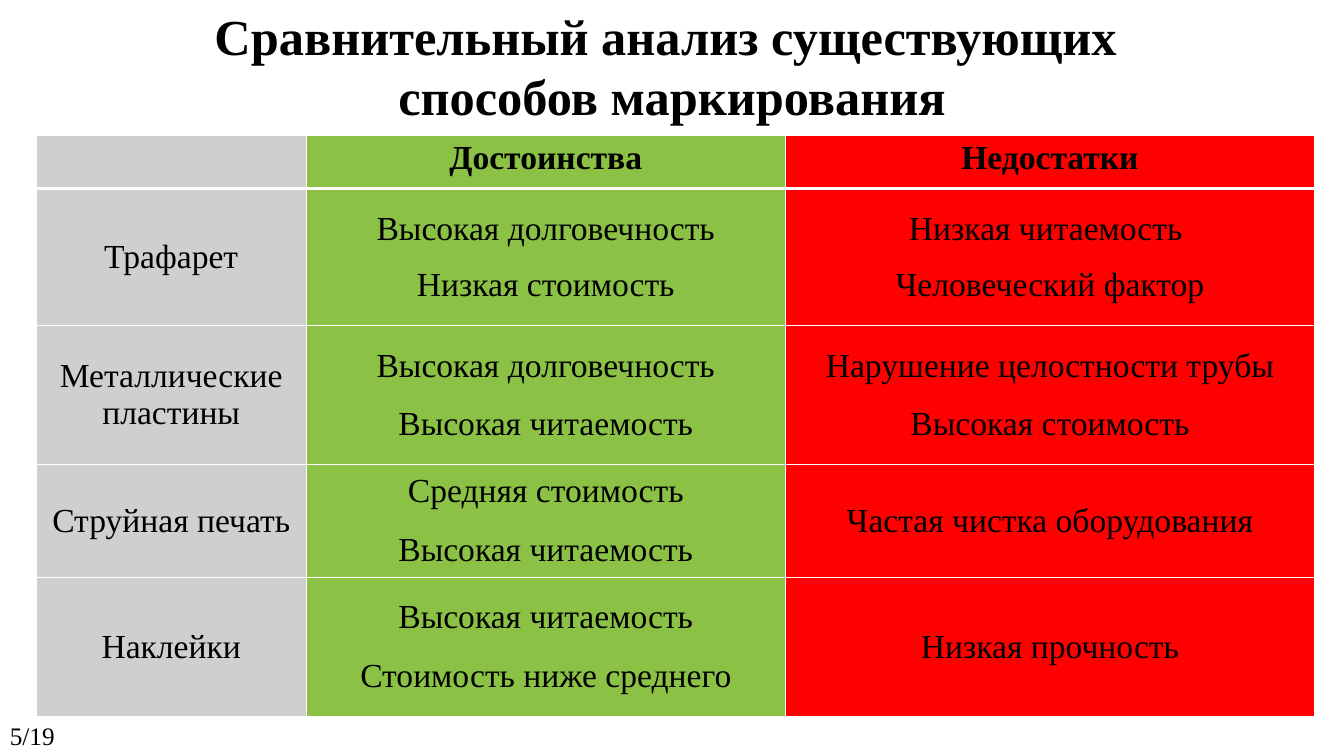
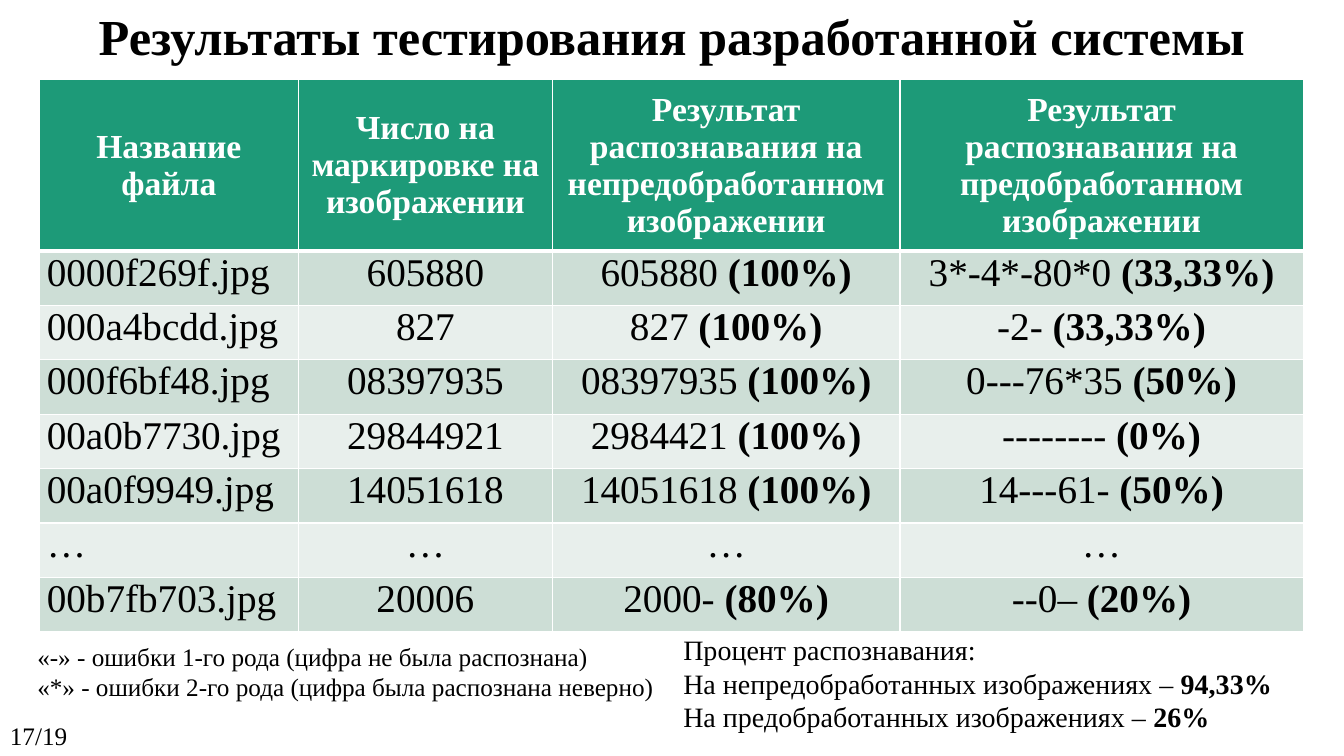
from dataclasses import dataclass, field
from typing import NamedTuple

from lxml.etree import SubElement
from pptx import Presentation
from pptx.dml.color import RGBColor
from pptx.enum.text import MSO_ANCHOR, MSO_AUTO_SIZE, PP_ALIGN
from pptx.oxml.ns import qn
from pptx.util import Cm, Pt

HUES = {
    "black": "000000",
    "white": "FFFFFF",
    "grey": "D0CECE",
    "lime": "8BC145",
    "red": "FF0000",
    "green": "1D9A78",
    "mint": "CDDED6",
    "pale": "E8EFEC",
}
FONT = "Times New Roman"
WIDE, HIGH = 33.87, 19.05
LEFT, MID, EVEN = PP_ALIGN.LEFT, PP_ALIGN.CENTER, PP_ALIGN.JUSTIFY
TOP, CORE = MSO_ANCHOR.TOP, MSO_ANCHOR.MIDDLE

Line = tuple[str, ...]


class Box(NamedTuple):
    x: float
    y: float
    w: float
    h: float


@dataclass(frozen=True)
class Look:
    size: float
    hue: str = "black"
    bold: bool = False
    align: PP_ALIGN = LEFT
    gap: float = 0


@dataclass(frozen=True)
class Cell:
    lines: list[Line]
    look: Look
    fill: str
    hold: MSO_ANCHOR = CORE
    tight: bool = False


@dataclass(frozen=True)
class Grid:
    x: float
    y: float
    cols: list[float]
    rows: list[float]
    cells: list[list[Cell]]


@dataclass(frozen=True)
class Note:
    box: Box
    lines: list[Line]
    look: Look


@dataclass(frozen=True)
class Page:
    title: list[Line]
    high: float
    mark: str
    grid: Grid
    notes: list[Note] = field(default_factory=list)


HEAD = Look(36, bold=True, align=MID)
FOOT = Look(18)
LABEL = Look(24, bold=True, align=MID)
DATA = Look(28, align=MID)
NAME = Look(28, align=EVEN)


def tint(name: str) -> RGBColor:
    return RGBColor.from_string(HUES[name])


def write(frame, lines: list[Line], look: Look) -> None:
    for i, line in enumerate(lines):
        para = frame.add_paragraph() if i else frame.paragraphs[0]
        para.alignment = look.align
        para.line_spacing = 1.0
        para.space_before = Pt(look.gap if i else 0)
        for j, text in enumerate(line):
            run = para.add_run()
            run.text = text
            font = run.font
            font.name, font.size = FONT, Pt(look.size)
            font.bold = look.bold or j > 0
            font.color.rgb = tint(look.hue)


def place(shape, box: Box) -> None:
    shape.left, shape.top = Cm(box.x), Cm(box.y)
    shape.width, shape.height = Cm(box.w), Cm(box.h)


def add_head(slide, lines: list[Line], high: float) -> None:
    title = slide.shapes.title
    place(title, Box(0, 0, WIDE, high))
    frame = title.text_frame
    frame.word_wrap = True
    frame.auto_size = MSO_AUTO_SIZE.NONE
    frame.vertical_anchor = TOP
    write(frame, lines, HEAD)


def add_note(slide, note: Note) -> None:
    box = slide.shapes.add_textbox(*map(Cm, note.box))
    box.text_frame.word_wrap = False
    write(box.text_frame, note.lines, note.look)


def edge(cell, row: int) -> None:
    props = cell._tc.get_or_add_tcPr()
    for side in "LRTB":
        thick = (row, side) in ((0, "B"), (1, "T"))
        line = SubElement(props, qn(f"a:ln{side}"), w=str(Pt(3 if thick else 1)))
        fill = SubElement(line, qn("a:solidFill"))
        SubElement(fill, qn("a:srgbClr"), val=HUES["white"])


def add_grid(slide, grid: Grid) -> None:
    shape = slide.shapes.add_table(
        len(grid.rows), len(grid.cols), Cm(grid.x), Cm(grid.y),
        Cm(sum(grid.cols)), Cm(sum(grid.rows)))
    table = shape.table
    table.first_row = table.horz_banding = False
    for col, wide in zip(table.columns, grid.cols):
        col.width = Cm(wide)
    for row, high in zip(table.rows, grid.rows):
        row.height = Cm(high)
    for r, cells in enumerate(grid.cells):
        for c, part in enumerate(cells):
            cell = table.cell(r, c)
            edge(cell, r)
            cell.fill.solid()
            cell.fill.fore_color.rgb = tint(part.fill)
            cell.vertical_anchor = part.hold
            if part.tight:
                cell.margin_left = cell.margin_right = Cm(0.19)
                cell.margin_top = cell.margin_bottom = 0
            write(cell.text_frame, part.lines, part.look)


def add_page(deck, page: Page) -> None:
    slide = deck.slides.add_slide(deck.slide_layouts[5])
    add_head(slide, page.title, page.high)
    add_note(slide, Note(Box(0, 18.03, 2.36, 1.02), [(page.mark,)], FOOT))
    add_grid(slide, page.grid)
    for note in page.notes:
        add_note(slide, note)


def ways() -> list[list[Cell]]:
    fills = ("grey", "lime", "red")
    heads = ([], [("Достоинства",)], [("Недостатки",)])
    cells = [[Cell(t, LABEL, f, TOP) for t, f in zip(heads, fills)]]
    body = (
        (13.5, ["Трафарет"], ["Высокая долговечность", "Низкая стоимость"],
         ["Низкая читаемость ", "Человеческий фактор"]),
        (15.5, ["Металлические пластины"],
         ["Высокая долговечность", "Высокая читаемость"],
         ["Нарушение целостности трубы", "Высокая стоимость"]),
        (15.5, ["Струйная печать"], ["Средняя стоимость", "Высокая читаемость"],
         ["Частая чистка оборудования"]),
        (15.5, ["Наклейки"], ["Высокая читаемость", "Стоимость ниже среднего"],
         ["Низкая прочность"]),
    )
    for gap, *texts in body:
        look = Look(24, align=MID, gap=gap)
        cells.append([Cell([(t,) for t in text], look, fill)
                      for text, fill in zip(texts, fills)])
    return cells


def tests() -> list[list[Cell]]:
    heads = (
        "Название файла",
        "Число на маркировке на изображении",
        "Результат распознавания на непредобработанном изображении",
        "Результат распознавания на предобработанном изображении",
    )
    look = Look(24, "white", True, MID)
    cells = [[Cell([(text,)], look, "green") for text in heads]]
    body: list[tuple[Line, ...]] = [
        (("0000f269f.jpg",), ("605880",), ("605880 ", "(100%)"),
         ("3*-4*-80*0 ", "(33,33%)")),
        (("000a4bcdd.jpg",), ("827",), ("827 ", "(100%)"),
         ("-2- ", "(33,33%)")),
        (("000f6bf48.jpg",), ("08397935",), ("08397935 ", "(100%)"),
         ("0---76*35 ", "(50%)")),
        (("00a0b7730.jpg",), ("29844921",), ("2984421 ", "(100%)"),
         ("-------- ", "(0%)")),
        (("00a0f9949.jpg",), ("14051618",), ("14051618 ", "(100%)"),
         ("14---61- ", "(50%)")),
        (("…",),) * 4,
        (("00b7fb703.jpg",), ("20006",), ("2000- ", "(80%)"),
         ("--0– ", "(20%)")),
    ]
    for r, row in enumerate(body):
        fill = "pale" if r % 2 else "mint"
        cells.append([Cell([line], DATA if c else NAME, fill, TOP, True)
                      for c, line in enumerate(row)])
    return cells


def main() -> None:
    deck = Presentation()
    deck.slide_width, deck.slide_height = Cm(WIDE), Cm(HIGH)
    pages = (
        Page(
            [("Сравнительный анализ существующих ",),
             ("способов маркирования",)],
            3.33, "5/19",
            Grid(0.91, 3.4, [6.81, 12.07, 13.34],
                 [1.35, 3.45, 3.51, 2.82, 3.51], ways())),
        Page(
            [("Результаты тестирования разработанной системы",)],
            1.8, "17/19",
            Grid(0.99, 2.01, [6.53, 6.4, 8.76, 10.16],
                 [3.99] + [1.37] * 7, tests()),
            [
                Note(Box(0.69, 16.03, 16.2, 1.8),
                     [("«-» - ошибки 1-го рода (цифра не была распознана)",),
                      ("«*» - ошибки 2-го рода (цифра была распознана неверно)",)],
                     FOOT),
                Note(Box(16.97, 15.82, 15.34, 2.82),
                     [("Процент распознавания:",),
                      ("На непредобработанных изображениях – ", "94,33%"),
                      ("На предобработанных изображениях – ", "26%")],
                     Look(20)),
            ]),
    )
    for page in pages:
        add_page(deck, page)
    deck.save("out.pptx")


if __name__ == "__main__":
    main()
